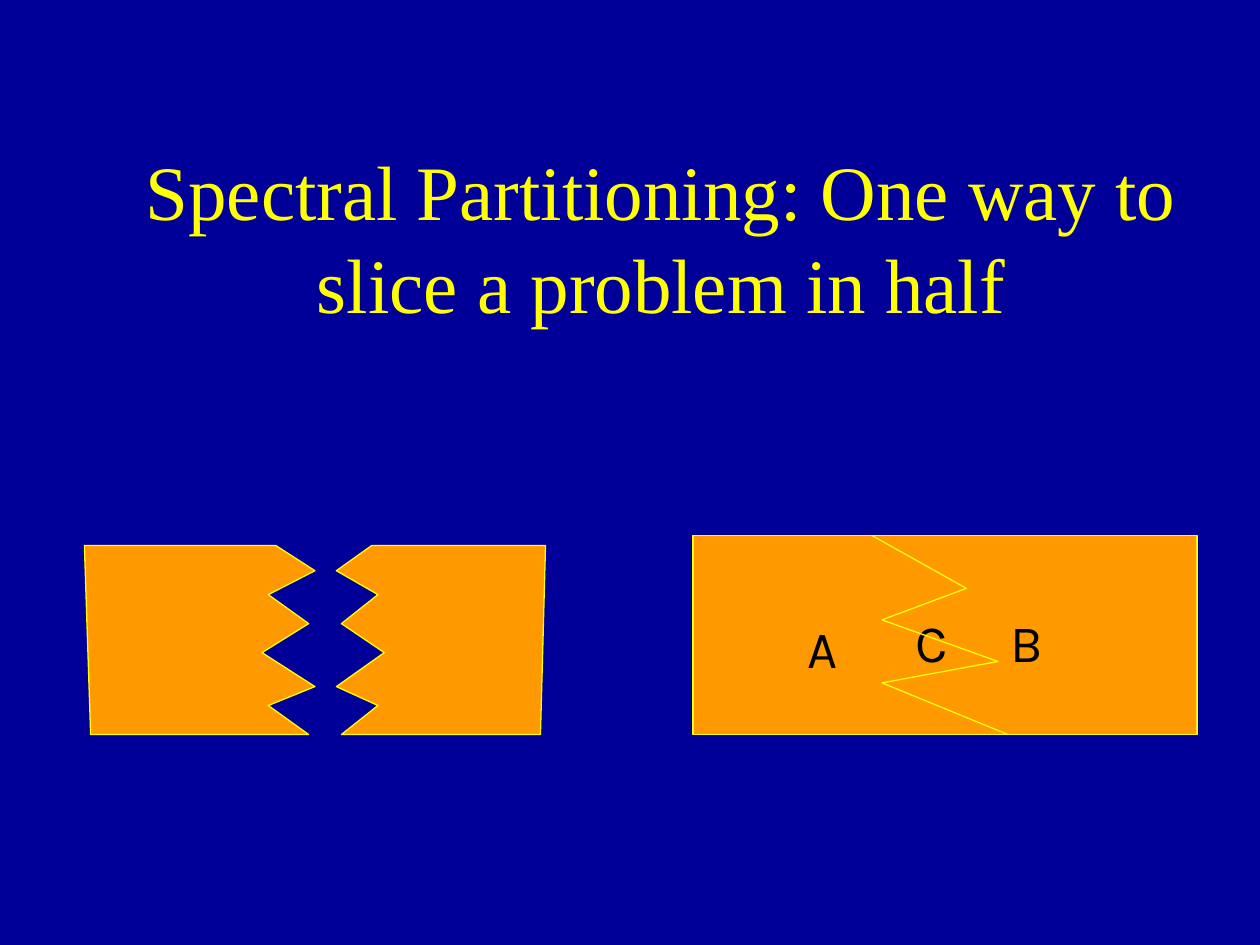
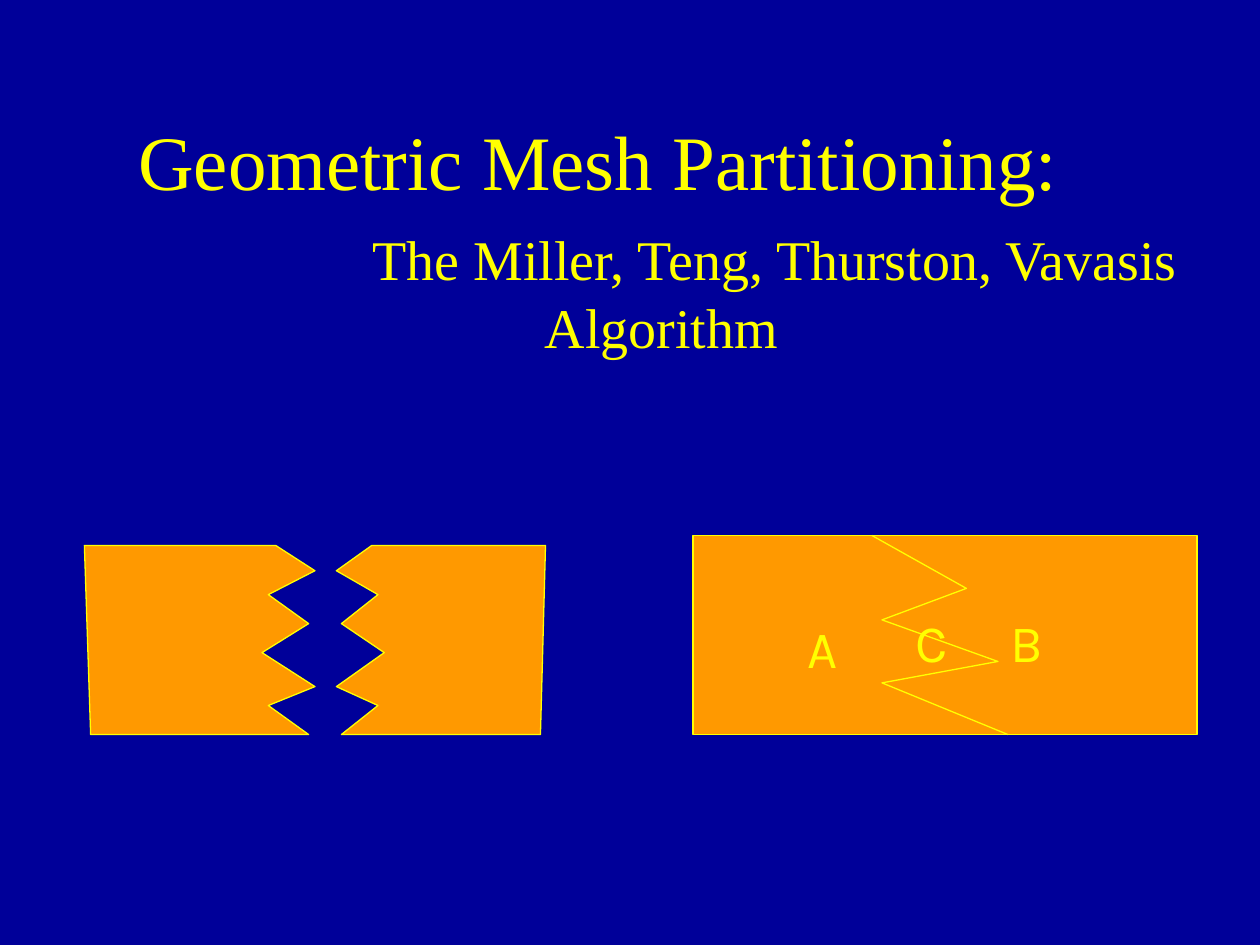
import pptx
import pptx.dml.color
import pptx.enum.shapes
import pptx.enum.text
import pptx.oxml.ns
import pptx.util
from lxml import etree

Inches = pptx.util.Inches
Pt = pptx.util.Pt
RGBColor = pptx.dml.color.RGBColor
Align = pptx.enum.text.PP_ALIGN
Anchor = pptx.enum.text.MSO_ANCHOR

NAVY = RGBColor(0x00, 0x00, 0x99)
ORANGE = RGBColor(0xFF, 0x99, 0x00)
YELLOW = RGBColor(0xFF, 0xFF, 0x00)
BLACK = RGBColor(0x00, 0x00, 0x00)

TITLE_FONT = {"name": "Times New Roman", "size": Pt(44), "color": YELLOW}
SUBTITLE_FONT = {**TITLE_FONT, "size": Pt(32)}
LABEL_FONT = {"name": "Karla", "size": Pt(30)}

LEFT_PIECE = [(0.67, 4.33), (2.19, 4.33), (2.5, 4.53), (2.13, 4.72), (2.45, 4.95),
              (2.08, 5.18), (2.5, 5.45), (2.13, 5.6), (2.45, 5.83), (0.72, 5.83)]
RIGHT_PIECE = [(4.33, 4.33), (2.95, 4.33), (2.67, 4.53), (3, 4.72), (2.71, 4.95),
               (3.05, 5.18), (2.67, 5.45), (3, 5.6), (2.71, 5.83), (4.29, 5.83)]
SEPARATOR = [(6.92, 4.25), (7.67, 4.67), (7, 4.92), (7.92, 5.25), (7, 5.42), (8, 5.83)]


def set_font(font, formats):
    for attribute, value in formats.items():
        if attribute == "color":
            font.color.rgb = value
        else:
            setattr(font, attribute, value)


def set_frame(frame, **formats):
    for attribute, value in formats.items():
        setattr(frame, attribute, value)


def write(paragraph, text, formats, alignment):
    paragraph.alignment = alignment
    run = paragraph.add_run()
    run.text = text
    set_font(run.font, formats)


def add_tab_stop(paragraph, position):
    properties = paragraph._p.get_or_add_pPr()
    tab_list = etree.SubElement(properties, pptx.oxml.ns.qn("a:tabLst"))
    etree.SubElement(tab_list, pptx.oxml.ns.qn("a:tab"), pos=str(position), algn="l")


def style_outline(shape, filled=True):
    shape.shadow.inherit = False
    if filled:
        shape.fill.solid()
        shape.fill.fore_color.rgb = ORANGE
    else:
        shape.fill.background()
    shape.line.color.rgb = YELLOW
    shape.line.width = Pt(0.75)


def add_outline(slide, points, closed=True):
    corners = [(Inches(x), Inches(y)) for x, y in points]
    builder = slide.shapes.build_freeform(*corners[0])
    builder.add_line_segments(corners[1:], close=closed)
    style_outline(builder.convert_to_shape(), filled=closed)


def add_title(slide, title, subtitle=None):
    box = slide.shapes.add_textbox(Inches(1), Inches(1.25), Inches(8.5), Inches(1.25))
    frame = box.text_frame
    set_frame(frame, word_wrap=True, vertical_anchor=Anchor.MIDDLE)
    write(frame.paragraphs[0], title, TITLE_FONT, Align.LEFT if subtitle else Align.CENTER)
    if subtitle:
        paragraph = frame.add_paragraph()
        paragraph.space_before = Pt(11)
        paragraph._p.get_or_add_pPr().set("indent", str(Inches(1.8)))
        write(paragraph, subtitle, SUBTITLE_FONT, Align.CENTER)


def add_domain(slide, label_color):
    label_font = {**LABEL_FONT, "color": label_color}
    domain = slide.shapes.add_shape(pptx.enum.shapes.MSO_SHAPE.RECTANGLE,
                                    Inches(5.5), Inches(4.25), Inches(4), Inches(1.58))
    style_outline(domain)
    set_frame(domain.text_frame, word_wrap=True, vertical_anchor=Anchor.MIDDLE,
              margin_left=Inches(1.77), margin_top=Inches(0.15))
    paragraph = domain.text_frame.paragraphs[0]
    add_tab_stop(paragraph, Inches(0.75))
    write(paragraph, "C\tB", label_font, Align.LEFT)

    add_outline(slide, SEPARATOR, closed=False)

    label = slide.shapes.add_textbox(Inches(6.31), Inches(4.84), Inches(0.46), Inches(0.6))
    set_frame(label.text_frame, word_wrap=False)
    write(label.text_frame.paragraphs[0], "A", label_font, Align.LEFT)


def add_partition_slide(presentation, label_color, title, subtitle=None):
    slide = presentation.slides.add_slide(presentation.slide_layouts[6])
    slide.background.fill.solid()
    slide.background.fill.fore_color.rgb = NAVY
    add_title(slide, title, subtitle)
    add_outline(slide, LEFT_PIECE)
    add_outline(slide, RIGHT_PIECE)
    add_domain(slide, label_color)


def main():
    presentation = pptx.Presentation()
    presentation.slide_width = Inches(10)
    presentation.slide_height = Inches(7.5)
    add_partition_slide(presentation, BLACK,
                        "Spectral Partitioning: One way to slice a problem in half")
    add_partition_slide(presentation, YELLOW, "Geometric Mesh Partitioning:",
                        "The Miller, Teng, Thurston, Vavasis Algorithm")
    presentation.save("out.pptx")


if __name__ == "__main__":
    main()
